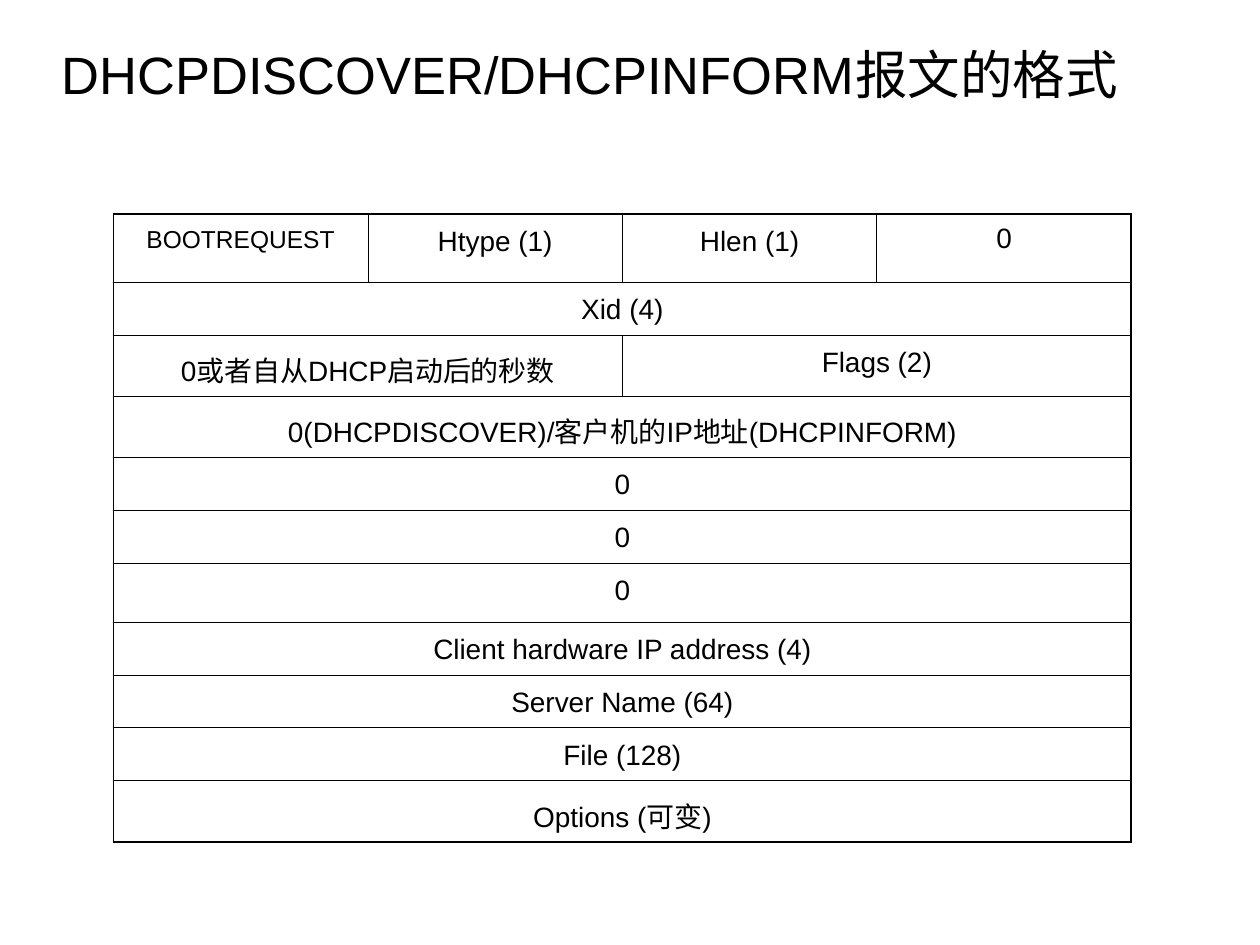
"""Build a slide that shows the DHCP message format as a table of fields."""
from dataclasses import dataclass

from lxml import etree
from pptx import Presentation
from pptx.dml.color import RGBColor
from pptx.enum.text import MSO_ANCHOR, PP_ALIGN
from pptx.oxml.ns import qn
from pptx.util import Emu, Inches, Pt

LEFT, CENTER = PP_ALIGN.LEFT, PP_ALIGN.CENTER
MIDDLE = MSO_ANCHOR.MIDDLE
COLS = 4


@dataclass(frozen=True)
class Theme:
    ink: str = "000000"
    paper: str = "FFFFFF"
    font: str = "Arial"
    title: float = 30
    body: float = 16
    small: float = 14
    thick: float = 1.08
    thin: float = 0.45


@dataclass(frozen=True)
class Field:
    text: str
    span: int = COLS
    size: float = Theme.body
    gap: float = 4
    lead: float = 1.2


@dataclass(frozen=True)
class Box:
    left: float
    top: float
    width: float
    height: float

    def place(self, wide: int, high: int) -> tuple[Emu, Emu, Emu, Emu]:
        return (Emu(round(self.left * wide)), Emu(round(self.top * high)),
                Emu(round(self.width * wide)), Emu(round(self.height * high)))


THEME = Theme()
HEAD = Box(0.039, 0.16 / 7.5, 0.895, 0.85 / 7.5)
GRID = Box(0.09, 1.7 / 7.5, 0.808, 4.81 / 7.5)
ROW = 0.42
TALL = {0: 0.54, 6: 0.47}
ROWS = [
    [Field("BOOTREQUEST", 1, THEME.small, 3.5), Field("Htype (1)", 1),
     Field("Hlen (1)", 1), Field("0", 1, lead=1.1)],
    [Field("Xid (4)")],
    [Field("0或者自从DHCP启动后的秒数", 2), Field("Flags (2)", 2)],
    [Field("0(DHCPDISCOVER)/客户机的IP地址(DHCPINFORM)")],
    [Field("0")],
    [Field("0")],
    [Field("0")],
    [Field("Client hardware IP address (4)")],
    [Field("Server Name (64)")],
    [Field("File (128)")],
    [Field("Options (可变)")],
]


def write(para, text: str, size: float) -> None:
    run = para.add_run()
    run.text = text
    run.font.size = Pt(size)
    run.font.name = THEME.font
    run.font.color.rgb = RGBColor.from_string(THEME.ink)


def edge(cell, row: int, first: int, last: int) -> None:
    outer = {"L": first == 0, "R": last == COLS - 1,
             "T": row == 0, "B": row == len(ROWS) - 1}
    props = cell._tc.get_or_add_tcPr()
    for spot, (side, rim) in enumerate(outer.items()):
        width = Pt(THEME.thick if rim else THEME.thin)
        line = etree.Element(qn(f"a:ln{side}"), w=str(width))
        fill = etree.SubElement(line, qn("a:solidFill"))
        etree.SubElement(fill, qn("a:srgbClr"), val=THEME.ink)
        props.insert(spot, line)


def fill_cell(cell, field: Field) -> None:
    para = cell.text_frame.paragraphs[0]
    para.alignment = CENTER
    para.line_spacing = field.lead
    para.space_before = para.space_after = Pt(field.gap)
    write(para, field.text, field.size)


def draw_row(table, row: int, fields: list[Field]) -> None:
    table.rows[row].height = Inches(TALL.get(row, ROW))
    first = 0
    for field in fields:
        last = first + field.span - 1
        cell = table.cell(row, first)
        if field.span > 1:
            cell.merge(table.cell(row, last))
        fill_cell(cell, field)
        for col in range(first, last + 1):
            part = table.cell(row, col)
            part.fill.background()
            edge(part, row, first, last)
        first = last + 1


def draw_table(slide, wide: int, high: int) -> None:
    frame = slide.shapes.add_table(len(ROWS), COLS, *GRID.place(wide, high))
    table = frame.table
    table.first_row = table.horz_banding = False
    for row, fields in enumerate(ROWS):
        draw_row(table, row, fields)


def draw_title(slide, wide: int, high: int) -> None:
    title = slide.shapes.title
    title.left, title.top, title.width, title.height = HEAD.place(wide, high)
    frame = title.text_frame
    frame.word_wrap = True
    frame.vertical_anchor = MIDDLE
    para = frame.paragraphs[0]
    para.alignment = LEFT
    write(para, "DHCPDISCOVER/DHCPINFORM报文的格式", THEME.title)


def main() -> None:
    deck = Presentation()
    deck.slide_width, deck.slide_height = Inches(10), Inches(7.5)
    slide = deck.slides.add_slide(deck.slide_layouts[5])
    back = slide.background.fill
    back.solid()
    back.fore_color.rgb = RGBColor.from_string(THEME.paper)
    draw_title(slide, deck.slide_width, deck.slide_height)
    draw_table(slide, deck.slide_width, deck.slide_height)
    deck.save("out.pptx")


if __name__ == "__main__":
    main()
